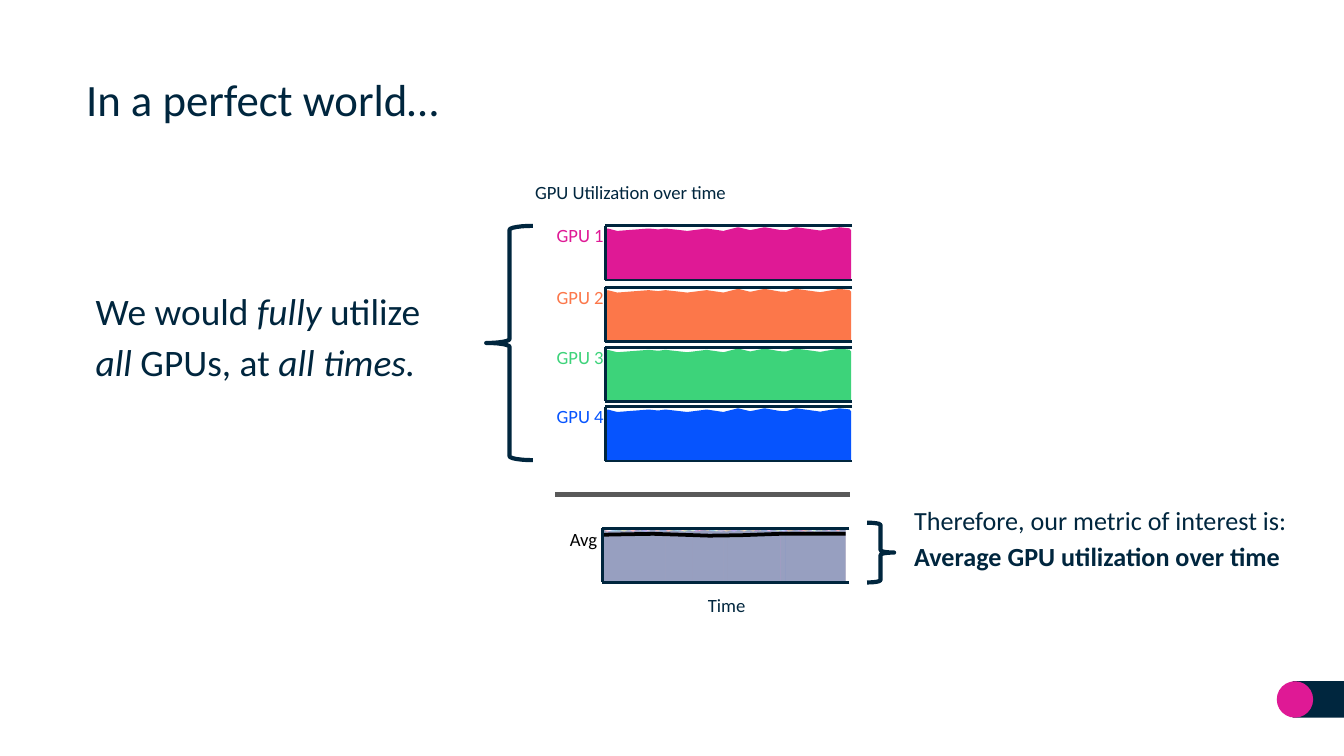
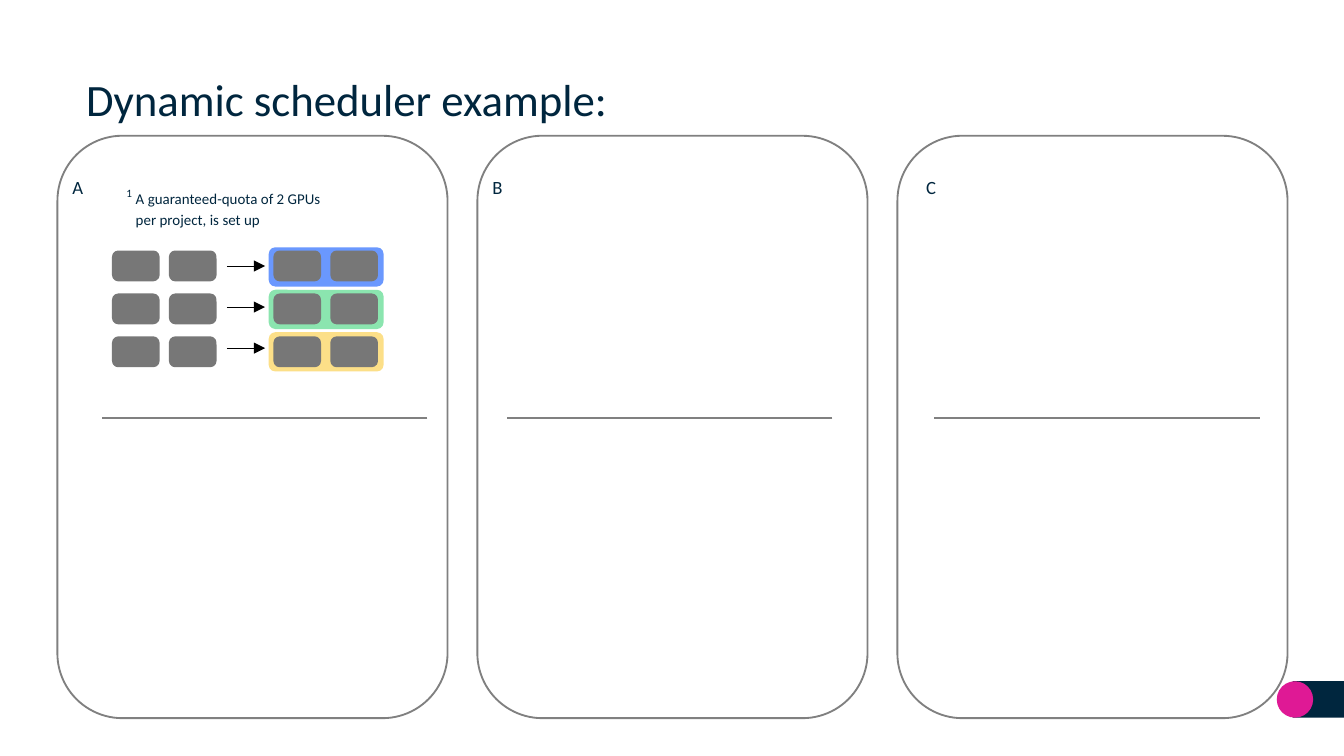
"""Build two slides on GPU utilization and dynamic scheduling."""
from itertools import pairwise

from lxml import etree
from pptx import Presentation
from pptx.dml.color import RGBColor
from pptx.enum import shapes, text
from pptx.oxml import ns
from pptx.util import Pt

NAVY = RGBColor(0x00, 0x26, 0x3E)
PINK = RGBColor(0xDF, 0x19, 0x95)
ORANGE = RGBColor(0xFC, 0x77, 0x4A)
GREEN = RGBColor(0x3D, 0xD3, 0x7A)
BLUE = RGBColor(0x06, 0x54, 0xFE)
BLACK = RGBColor(0x00, 0x00, 0x00)
DARK_GRAY = RGBColor(0x59, 0x59, 0x59)
CELL_GRAY = RGBColor(0x77, 0x77, 0x77)
PANEL_GRAY = RGBColor(0x80, 0x80, 0x80)
LIGHT_BLUE = RGBColor(0x6A, 0x98, 0xFE)
LIGHT_GREEN = RGBColor(0x8B, 0xE5, 0xAF)
LIGHT_YELLOW = RGBColor(0xFC, 0xDF, 0x88)
FONT = "Calibri"
KIND = shapes.MSO_SHAPE

WAVE = [(0, 0.7), (4, 2), (17, 0.7), (21, 1.2), (24, 0.7), (33, 2), (41, 0.7),
        (48, 2), (54, 0), (59, 1.6), (65, 0), (71, 1.4), (74, 1.6), (78, 0),
        (88, 1.8), (96, 0), (100, 0.6)]


def add_text(slide, left, top, width, height, parts, size, color=NAVY, margin=0.75, spacing=1.15):
    box = slide.shapes.add_textbox(Pt(left), Pt(top), Pt(width), Pt(height))
    frame = box.text_frame
    frame.word_wrap = True
    frame.margin_left = frame.margin_right = Pt(margin)
    frame.margin_top = frame.margin_bottom = Pt(margin)
    paragraph = frame.paragraphs[0]
    paragraph.line_spacing = spacing
    for part in parts:
        run = paragraph.add_run()
        run.text = part
        run.font.name = FONT
        run.font.size = Pt(size)
        run.font.color.rgb = color
    return box


def add_shape(slide, kind, left, top, width, height, fill=None, line=None, line_width=1):
    shape = slide.shapes.add_shape(kind, Pt(left), Pt(top), Pt(width), Pt(height))
    shape.shadow.inherit = False
    if fill is None:
        shape.fill.background()
    else:
        shape.fill.solid()
        shape.fill.fore_color.rgb = fill
    if line is None:
        shape.line.fill.background()
    else:
        shape.line.color.rgb = line
        shape.line.width = Pt(line_width)
    return shape


presentation = Presentation()
presentation.slide_width = Pt(720)
presentation.slide_height = Pt(405)

slides = []
for title in ("In a perfect world…", "Dynamic scheduler example:"):
    slide = presentation.slides.add_slide(presentation.slide_layouts[6])
    add_shape(slide, KIND.RECTANGLE, 692.5, 365, 27.5, 19.5, NAVY)
    add_shape(slide, KIND.OVAL, 684, 365, 19.5, 19.5, PINK)
    title_box = add_text(slide, 39, 33, 644, 40, [title], 24, margin=7.2, spacing=1)
    title_box.text_frame.vertical_anchor = text.MSO_ANCHOR.MIDDLE
    slides.append(slide)
utilization, scheduler = slides
lines = []

statement = add_text(utilization, 50.5, 150, 198.5, 57,
                     ["We would ", "fully", " utilize ", "all", " GPUs, at ", "all times."], 20)
for run in statement.text_frame.paragraphs[0].runs[1::2]:
    run.font.italic = True
metric = add_text(utilization, 489, 267, 211, 40,
                  ["Therefore, our metric of interest is: ", "Average GPU utilization over time"], 14)
metric.text_frame.paragraphs[0].runs[1].font.bold = True
add_text(utilization, 286, 94.5, 119, 15, ["GPU Utilization over time"], 10)
add_text(utilization, 378.5, 315.5, 29.5, 15, ["Time"], 10)

areas = []
gpu_rows = zip((PINK, ORANGE, GREEN, BLUE), (121, 154, 186, 218))
for number, (color, top) in enumerate(gpu_rows, 1):
    add_text(utilization, 297.5, top - 3.5, 29.5, 15, [f"GPU {number}"], 10, color)
    areas.append((325.5, top + 1.75, 129.5, 26.5, color, False))

average_splits = [
    (PINK, (323.5, 453)),
    (ORANGE, (323.5, 390, 453)),
    (GREEN, (323.5, 371, 418, 453)),
    (BLUE, (323.5, 356.5, 387.5, 421, 453)),
]
for color, edges in average_splits:
    for left, right in pairwise(edges):
        areas.append((left, 283, right - left, 29, color, True))

for left, top, width, height, color, translucent in areas:
    points = [(Pt(left + width * x / 100), Pt(top + y)) for x, y in WAVE]
    points += [(Pt(left + width), Pt(top + height)), (Pt(left), Pt(top + height))]
    builder = utilization.shapes.build_freeform(*points[0])
    builder.add_line_segments(points[1:], close=True)
    area = builder.convert_to_shape()
    area.shadow.inherit = False
    area.fill.solid()
    area.fill.fore_color.rgb = color
    if translucent:
        area.line.fill.background()
        fill_color = area.fill._xPr.find(ns.qn("a:solidFill"))[0]
        etree.SubElement(fill_color, ns.qn("a:alpha")).set("val", "25000")
    else:
        area.line.color.rgb = color
        area.line.width = Pt(2)

for left, top in ((324.5, 121), (324.5, 154), (324.5, 186), (324.5, 218), (323, 283)):
    lines.append((utilization, left, top, left, top + 29, NAVY, 1.5, False))
    for y in (top, top + 29):
        lines.append((utilization, left + 132, y, left - 0.5, y, NAVY, 1.5, False))
lines.append((utilization, 297.5, 265, 455.5, 265, DARK_GRAY, 3, False))

add_text(utilization, 304.5, 280, 21, 15, ["Avg"], 10, BLACK)
average_curve = [(323.5, 286.5), (336, 286.25), (350, 286), (365, 286.5), (380, 287),
                 (397, 286.75), (418, 286), (453, 286)]
curve_points = [(Pt(x), Pt(y)) for x, y in average_curve]
builder = utilization.shapes.build_freeform(*curve_points[0])
builder.add_line_segments(curve_points[1:], close=False)
curve = builder.convert_to_shape()
curve.shadow.inherit = False
curve.fill.background()
curve.line.color.rgb = BLACK
curve.line.width = Pt(2)

add_shape(utilization, KIND.LEFT_BRACE, 260.5, 121, 25, 125.5, line=NAVY, line_width=2.25)
metric_brace = add_shape(utilization, KIND.LEFT_BRACE, 464.5, 280, 14.5, 32,
                         line=NAVY, line_width=2.25)
metric_brace.rotation = 180

panels = zip("ABC", (38, 263, 495.5), (54.5, 271.5, 500.5))
for index, (letter, letter_left, divider_left) in enumerate(panels):
    add_shape(scheduler, KIND.ROUNDED_RECTANGLE, 30.75 + 225 * index, 72.75, 209, 312,
              line=PANEL_GRAY)
    add_text(scheduler, letter_left, 91.5, 9, 15, [letter], 10)
    lines.append((scheduler, divider_left + 174.5, 224, divider_left, 224, PANEL_GRAY, 1, False))

add_text(scheduler, 67, 98, 9, 10, ["1"], 6)
add_text(scheduler, 72, 99.5, 113, 24,
         ["A guaranteed-quota of 2 GPUs per project, is set up"], 8)
for row, quota_color in enumerate((LIGHT_BLUE, LIGHT_GREEN, LIGHT_YELLOW)):
    add_shape(scheduler, KIND.ROUNDED_RECTANGLE, 144, 132.5 + 22.75 * row, 61.5, 21, quota_color)
    for cell_left in (61, 91.5, 147.5, 178):
        add_shape(scheduler, KIND.ROUNDED_RECTANGLE, cell_left, 135.25 + 23 * row, 23.5, 14.5,
                  CELL_GRAY, CELL_GRAY, 2)
    arrow_y = 142.5 + 22 * row
    lines.append((scheduler, 121.5, arrow_y, 142, arrow_y, BLACK, 0.25, True))

for slide, x1, y1, x2, y2, color, width, has_arrow in lines:
    connector = slide.shapes.add_connector(
        shapes.MSO_CONNECTOR.STRAIGHT, Pt(x1), Pt(y1), Pt(x2), Pt(y2))
    connector.line.color.rgb = color
    connector.line.width = Pt(width)
    if has_arrow:
        outline = connector.line._get_or_add_ln()
        etree.SubElement(outline, ns.qn("a:tailEnd")).set("type", "triangle")
    etree.SubElement(connector._element.spPr, ns.qn("a:effectLst"))

presentation.save("out.pptx")
